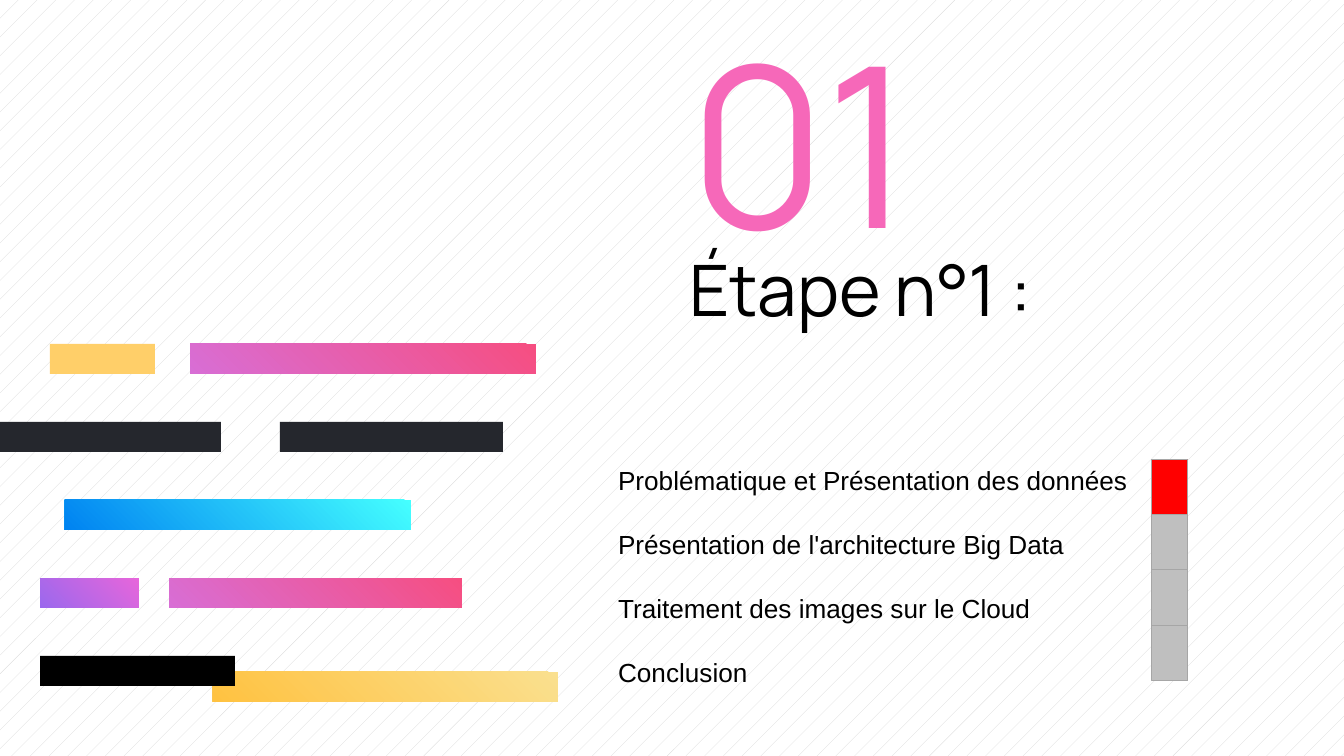
from pptx import Presentation
from pptx.dml.color import RGBColor
from pptx.enum.dml import MSO_PATTERN
from pptx.enum.shapes import MSO_SHAPE
from pptx.enum.text import MSO_ANCHOR
from pptx.util import Emu, Inches, Pt

WHITE = RGBColor(0xFF, 0xFF, 0xFF)
BLACK = RGBColor(0x00, 0x00, 0x00)
PALE_GREY = RGBColor(0xD9, 0xD9, 0xD9)
STEP_GREY = RGBColor(0xBF, 0xBF, 0xBF)
EDGE_GREY = RGBColor(0xA6, 0xA6, 0xA6)
CHARCOAL = RGBColor(0x25, 0x27, 0x2D)
RED = RGBColor(0xFF, 0x00, 0x00)
PINK = RGBColor(0xF6, 0x68, 0xB9)
SAND = RGBColor(0xFF, 0xCF, 0x69)
ROSE_FADE = (RGBColor(0xF6, 0x4E, 0x81), RGBColor(0xD8, 0x6E, 0xD5))
BLUE_FADE = (RGBColor(0x45, 0xFF, 0xFF), RGBColor(0x00, 0x83, 0xF1))
VIOLET_FADE = (RGBColor(0xE7, 0x66, 0xDB), RGBColor(0x9B, 0x68, 0xED))
GOLD_FADE = (RGBColor(0xFA, 0xE0, 0x8F), RGBColor(0xFF, 0xC2, 0x41))

SLIDE_WIDTH, SLIDE_HEIGHT = 1344, 756
BAR_TOP, BAR_PITCH, BAR_HEIGHT = 344, 78, 30
BARS = [
    (190, 0, 346, ROSE_FADE),
    (65, 2, 346, BLUE_FADE),
    (40, 3, 99, VIOLET_FADE),
    (280, 1, 223, CHARCOAL),
    (-2, 1, 223, CHARCOAL),
    (213, 4.2, 345, GOLD_FADE),
    (50, 0, 105, SAND),
    (40, 4, 195, BLACK),
    (169, 3, 293, ROSE_FADE),
]
STEPS = [
    "Problématique et Présentation des données",
    "Présentation de l'architecture Big Data",
    "Traitement des images sur le Cloud",
    "Conclusion",
]
STEP_TOP, STEP_PITCH = 459, 55.5
CURRENT_STEP = 0


def px(length):
    return Emu(round(length * Inches(10) / SLIDE_WIDTH))


def add_background(page):
    fill = page.background.fill
    fill.patterned()
    fill.pattern = MSO_PATTERN.PERCENT_5
    fill.fore_color.rgb = PALE_GREY
    fill.back_color.rgb = WHITE


def add_rectangle(page, left, top, width, height, paint, edge=None):
    shape = page.shapes.add_shape(
        MSO_SHAPE.RECTANGLE, px(left), px(top), px(width), px(height))
    shape.shadow.inherit = False
    if isinstance(paint, RGBColor):
        shape.fill.solid()
        shape.fill.fore_color.rgb = paint
    else:
        shape.fill.gradient()
        shape.fill.gradient_angle = 225
        for stop, color in zip(shape.fill.gradient_stops, paint):
            stop.color.rgb = color
    if edge is None:
        shape.line.fill.background()
    else:
        shape.line.color.rgb = edge
        shape.line.width = Pt(0.5)


def add_text(page, left, top, width, height, lines, size, font, color,
             anchor=MSO_ANCHOR.TOP, inset=13, gap=0):
    box = page.shapes.add_textbox(px(left), px(top), px(width), px(height))
    frame = box.text_frame
    frame.word_wrap = True
    frame.vertical_anchor = anchor
    frame.margin_left = frame.margin_right = px(13)
    frame.margin_top = frame.margin_bottom = px(inset)
    for index, line in enumerate(lines):
        para = frame.add_paragraph() if index else frame.paragraphs[0]
        if index:
            para.space_before = Pt(gap)
        span = para.add_run()
        span.text = line
        span.font.size = Pt(size)
        span.font.name = font
        span.font.color.rgb = color


def main():
    deck = Presentation()
    deck.slide_width = px(SLIDE_WIDTH)
    deck.slide_height = px(SLIDE_HEIGHT)
    page = deck.slides.add_slide(deck.slide_layouts[6])
    add_background(page)
    for left, row, width, paint in BARS:
        add_rectangle(page, left, BAR_TOP + row * BAR_PITCH, width, BAR_HEIGHT, paint)
    add_text(page, 676, 233, 562, 212, ["Étape n°1 :"], 38, "Manrope", BLACK)
    add_text(page, 676, 31, 562, 255, ["01"], 120, "Manrope", PINK, MSO_ANCHOR.BOTTOM)
    for index in range(len(STEPS)):
        paint = RED if index == CURRENT_STEP else STEP_GREY
        add_rectangle(page, 1152, STEP_TOP + index * STEP_PITCH, 36, STEP_PITCH,
                      paint, EDGE_GREY)
    add_text(page, 605, 457, 548, 235, STEPS, 14, "Arial", BLACK, inset=7, gap=17.5)
    deck.save("out.pptx")


if __name__ == "__main__":
    main()
